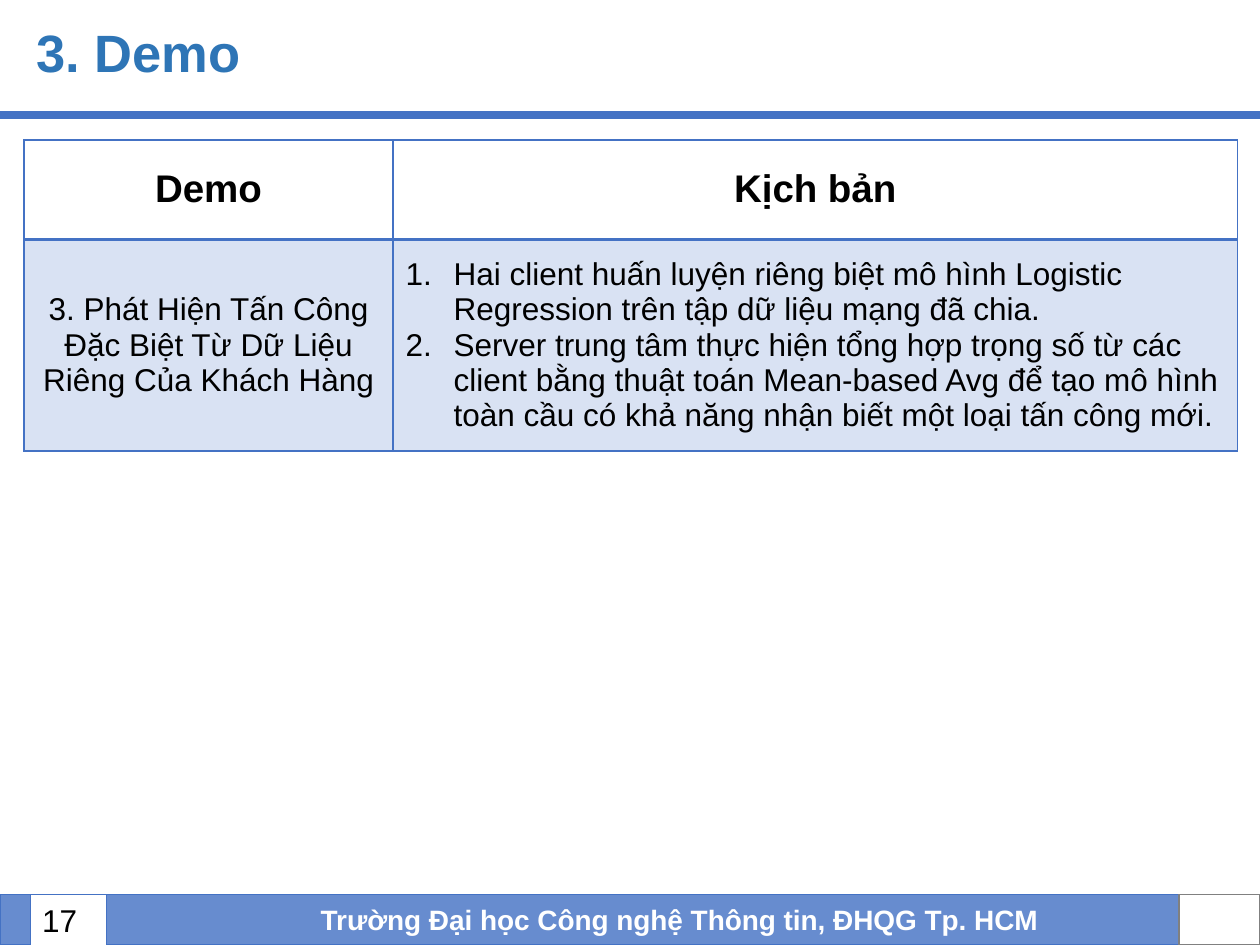
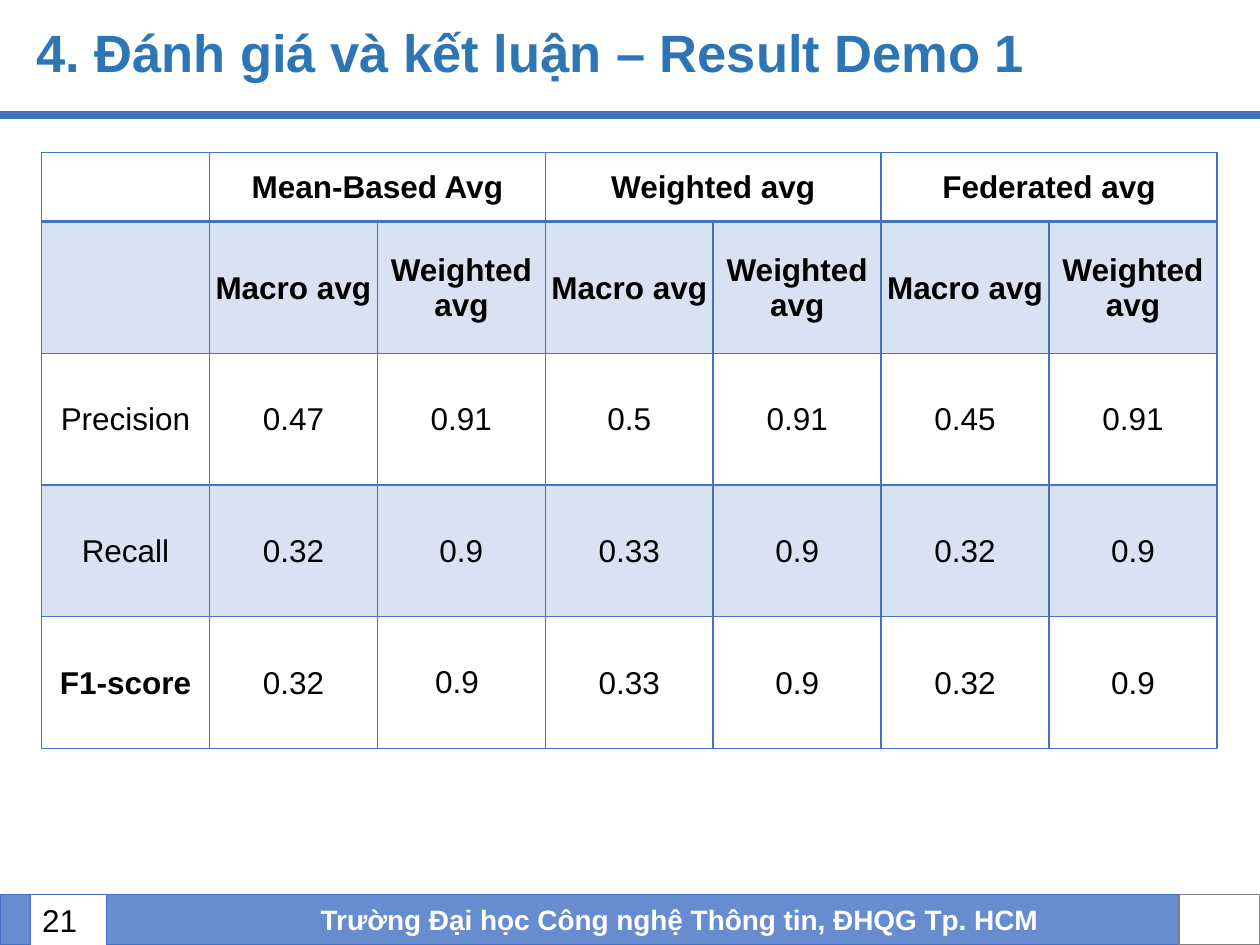
from collections import namedtuple

from lxml.etree import SubElement
from pptx import Presentation
from pptx.dml.color import RGBColor
from pptx.enum.shapes import MSO_CONNECTOR, MSO_SHAPE
from pptx.enum.text import MSO_ANCHOR as Anchor, PP_ALIGN as Align
from pptx.oxml.ns import qn
from pptx.util import Inches, Pt

Box = namedtuple("Box", "left top width height")

FONT = "Arial"
BLUE, TITLE_BLUE, GREY = "4472C4", "2E75B6", "808080"
BLACK, WHITE = "000000", "FFFFFF"
FOOTER_ALPHA, BAND_ALPHA = 81, 20
UNIVERSITY = "Trường Đại học Công nghệ Thông tin, ĐHQG Tp. HCM"
PAGE = Box(0, 0, 10, 7.5)
TITLE = Box(0.19, 0.16, 8.98, 0.56)
RULE_TOP = 0.91
FOOTER = Box(0, 7.1, 10, 0.4)
CELL_INSETS = (0.1, 0.05, 0.1, 0.05)
TIGHT_INSETS = (0.01, 0.01, 0.01, 0)


def rgb(value):
    """Turn a hex string into a colour."""
    return RGBColor.from_string(value)


def inches(box):
    """Turn the numbers of a box into lengths."""
    return [Inches(number) for number in box]


def paint(fill, properties, colour, alpha=100):
    """Fill with a colour, translucent when alpha is under 100 percent."""
    fill.solid()
    fill.fore_color.rgb = rgb(colour)
    if alpha < 100:
        tint = properties.find(qn("a:solidFill"))[0]
        SubElement(tint, qn("a:alpha"), val=str(alpha * 1000))


def set_insets(holder, insets):
    """Set the left, top, right and bottom margins of a frame or cell."""
    (holder.margin_left, holder.margin_top,
     holder.margin_right, holder.margin_bottom) = inches(insets)


def write(paragraph, text, size, colour=BLACK, bold=False, align=Align.LEFT):
    """Add one styled run to a paragraph."""
    paragraph.alignment = align
    run = paragraph.add_run()
    run.text = text
    run.font.name, run.font.size, run.font.bold = FONT, Pt(size), bold
    run.font.color.rgb = rgb(colour)


def add_label(slide, box):
    """Add a wrapping, vertically centred text box and return its paragraph."""
    frame = slide.shapes.add_textbox(*inches(box)).text_frame
    frame.word_wrap = True
    frame.vertical_anchor = Anchor.MIDDLE
    return frame.paragraphs[0]


def add_panel(slide, box, colour, outline, weight, alpha=100):
    """Add a flat outlined rectangle."""
    panel = slide.shapes.add_shape(MSO_SHAPE.RECTANGLE, *inches(box))
    panel.shadow.inherit = False
    paint(panel.fill, panel.element.spPr, colour, alpha)
    panel.line.color.rgb = rgb(outline)
    panel.line.width = Pt(weight)
    return panel


def add_header(slide, box, title):
    """Add the slide title and the full-width rule under it."""
    heading = add_label(slide, box)
    heading.line_spacing = 0.9
    write(heading, title, 30, TITLE_BLUE, bold=True)
    rule = slide.shapes.add_connector(
        MSO_CONNECTOR.STRAIGHT, *inches((0, RULE_TOP, PAGE.width, RULE_TOP)))
    rule.line.color.rgb = rgb(BLUE)
    rule.line.width = Pt(4.5)
    SubElement(rule.element.spPr, qn("a:effectLst"))


def add_footer(slide, box, number):
    """Add the university band, the number plate and the corner plate."""
    def part(offset, width):
        return Box(box.left + offset, box.top, width, box.height)

    band = add_panel(slide, part(0, 9.48), BLUE, BLUE, 1, FOOTER_ALPHA)
    frame = band.text_frame
    frame.word_wrap = True
    frame.vertical_anchor = Anchor.MIDDLE
    set_insets(frame, (0.15, 0.07, 0.15, 0.07))
    name = frame.paragraphs[0]
    name._p.get_or_add_pPr().set("marL", str(Inches(1.31)))
    write(name, UNIVERSITY, 16, WHITE, bold=True, align=Align.CENTER)
    add_panel(slide, part(0.24, 0.6), WHITE, BLUE, 0.25)
    add_panel(slide, part(9.36, 0.64), WHITE, GREY, 1)
    write(add_label(slide, part(0.11, 0.6)), number, 18, align=Align.RIGHT)


def border_cell(cell, row):
    """Draw the blue cell borders, heavier between the first two rows."""
    heavy_side = {0: "B", 1: "T"}.get(row)
    for side in "LRTB":
        weight = 2 if side == heavy_side else 1
        edge = SubElement(cell._tc.get_or_add_tcPr(), qn(f"a:ln{side}"),
                          w=str(Pt(weight)))
        SubElement(SubElement(edge, qn("a:solidFill")),
                   qn("a:srgbClr"), val=BLUE)


def add_grid(slide, box, widths, heights):
    """Add a bordered table whose odd rows are tinted."""
    table = slide.shapes.add_table(
        len(heights), len(widths), *inches(box)).table
    table.first_row = table.horz_banding = False
    for column, width in zip(table.columns, widths):
        column.width = Inches(width)
    for index, (row, height) in enumerate(zip(table.rows, heights)):
        row.height = Inches(height)
        for cell in row.cells:
            cell.vertical_anchor = Anchor.MIDDLE
            border_cell(cell, index)
            if index % 2:
                paint(cell.fill, cell._tc.tcPr, BLUE, BAND_ALPHA)
            else:
                cell.fill.background()
    return table


def write_cell(cell, text, size=18, bold=False, insets=CELL_INSETS):
    """Write centred text in a cell."""
    set_insets(cell, insets)
    write(cell.text_frame.paragraphs[0], text, size, bold=bold,
          align=Align.CENTER)


def write_steps(cell, steps):
    """Write a numbered list in a cell."""
    frame = cell.text_frame
    for index, step in enumerate(steps):
        paragraph = frame.add_paragraph() if index else frame.paragraphs[0]
        properties = paragraph._p.get_or_add_pPr()
        properties.set("marL", str(Inches(0.38)))
        properties.set("indent", str(-Inches(0.38)))
        SubElement(properties, qn("a:buFont"), typeface="+mj-lt")
        SubElement(properties, qn("a:buAutoNum"), type="arabicPeriod")
        write(paragraph, step, 18)


def add_scenario(slide, box, demo, steps):
    """Add the table that sets a demo beside its scenario."""
    name_width, header_height = 2.93, 0.79
    table = add_grid(slide, box, (name_width, box.width - name_width),
                     (header_height, box.height - header_height))
    for column, heading in enumerate(("Demo", "Kịch bản")):
        write_cell(table.cell(0, column), heading, 22, bold=True)
    write_cell(table.cell(1, 0), demo)
    write_steps(table.cell(1, 1), steps)


def add_scores(slide, box, methods, averages, scores):
    """Add the table of scores by method and kind of average."""
    count = len(methods) * len(averages)
    header_height = 0.55
    score_height = (box.height - header_height) / (len(scores) + 1)
    table = add_grid(slide, box, [box.width / (count + 1)] * (count + 1),
                     [header_height] + [score_height] * (len(scores) + 1))
    for index, method in enumerate(methods):
        first = 1 + index * len(averages)
        table.cell(0, first).merge(table.cell(0, first + len(averages) - 1))
        write_cell(table.cell(0, first), method, bold=True)
    for column, average in enumerate(averages * len(methods), 1):
        write_cell(table.cell(1, column), average, bold=True,
                   insets=TIGHT_INSETS)
    for row, (metric, values) in enumerate(scores.items(), 2):
        write_cell(table.cell(row, 0), metric, bold=metric == "F1-score",
                   insets=TIGHT_INSETS)
        for column, value in enumerate(values, 1):
            insets = CELL_INSETS if value.endswith(" ") else TIGHT_INSETS
            write_cell(table.cell(row, column), value, insets=insets)


def add_page(deck, title, number):
    """Add a slide with the shared header and footer."""
    slide = deck.slides.add_slide(deck.slide_layouts[6])
    add_footer(slide, FOOTER, number)
    add_header(slide, TITLE, title)
    return slide


def main():
    """Build and save the deck."""
    deck = Presentation()
    deck.slide_width, deck.slide_height = Inches(PAGE.width), Inches(PAGE.height)

    demo = add_page(deck, "3. Demo", "17")
    add_scenario(
        demo, Box(0.19, 1.11, 9.63, 2.47),
        "3. Phát Hiện Tấn Công Đặc Biệt Từ Dữ Liệu Riêng Của Khách Hàng",
        ("Hai client huấn luyện riêng biệt mô hình Logistic Regression "
         "trên tập dữ liệu mạng đã chia.",
         "Server trung tâm thực hiện tổng hợp trọng số từ các client bằng "
         "thuật toán Mean-based Avg để tạo mô hình toàn cầu có khả năng "
         "nhận biết một loại tấn công mới."))

    results = add_page(deck, "4. Đánh giá và kết luận – Result Demo 1", "21")
    add_scores(
        results, Box(0.33, 1.21, 9.33, 4.73),
        ("Mean-Based Avg", "Weighted avg", "Federated avg"),
        ("Macro avg", "Weighted avg"),
        {"Precision": ("0.47", "0.91", "0.5", "0.91", "0.45", "0.91"),
         "Recall": ("0.32", "0.9", "0.33", "0.9", "0.32", "0.9"),
         "F1-score": ("0.32", "0.9 ", "0.33", "0.9", "0.32", "0.9")})

    deck.save("out.pptx")


if __name__ == "__main__":
    main()
